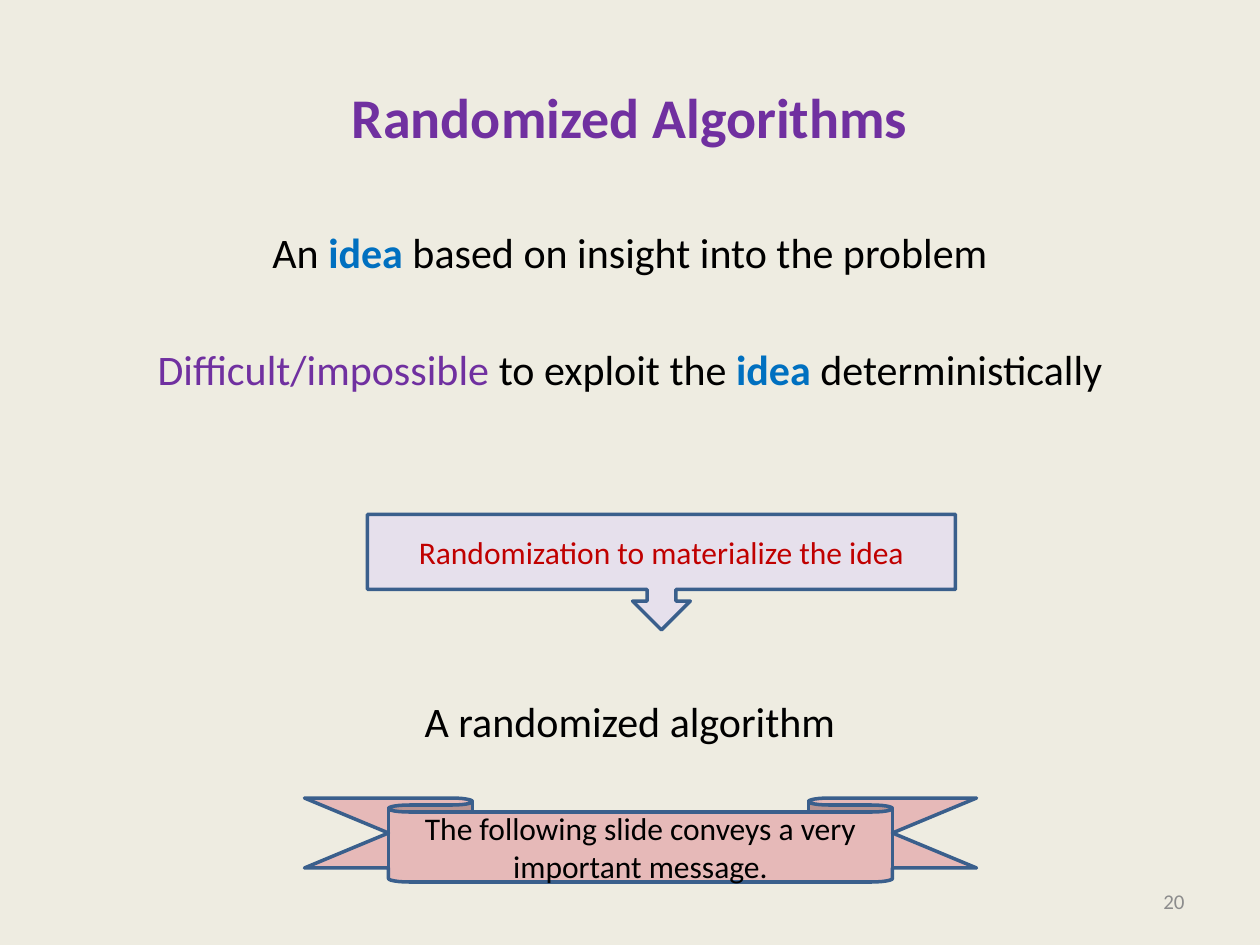
import pptx
import pptx.util
import pptx.dml.color
import pptx.enum.shapes
import pptx.enum.text

Pt = pptx.util.Pt
Shape = pptx.enum.shapes.MSO_SHAPE
Align = pptx.enum.text.PP_ALIGN
Middle = pptx.enum.text.MSO_ANCHOR.MIDDLE

theme = dict(
    font="Calibri", back="EEECE1", ink="000000", violet="7030A0", blue="0070C0",
    red="C00000", gray="8C8C8C", lilac="E6E0EC", rose="E6B9B8", edge="3A5F8C",
    head=32, body=24, label=18, small=12, line=2,
)

deck = pptx.Presentation()
deck.slide_width = pptx.util.Inches(10)
deck.slide_height = pptx.util.Inches(7.5)
cell = deck.slide_width / 120  # grid of 120 columns by 90 rows


def place(item, left, top, width, height):
    item.left, item.top = round(left * cell), round(top * cell)
    item.width, item.height = round(width * cell), round(height * cell)


def style(run, size, color, bold=False):
    run.font.name = theme["font"]
    run.font.size = Pt(theme[size])
    run.font.bold = bold
    run.font.color.rgb = pptx.dml.color.RGBColor.from_string(theme[color])


# Background and title
slide = deck.slides.add_slide(deck.slide_layouts[5])
slide.background.fill.solid()
slide.background.fill.fore_color.rgb = pptx.dml.color.RGBColor.from_string(theme["back"])
title = slide.shapes.title
place(title, 6, 3.6, 108, 15)
title.text_frame.text = "Randomized Algorithms"
title.text_frame.vertical_anchor = Middle
title.text_frame.paragraphs[0].alignment = Align.CENTER
style(title.text_frame.paragraphs[0].runs[0], "head", "violet", True)

# Body: space before, then runs of text, colour and weight
idea = ("idea", "blue", True)
lines = [
    (0, [("An ", "ink", False), idea, (" based on insight into the problem", "ink", False)]),
    (38, [("Difficult/impossible", "violet", False), (" to exploit the ", "ink", False),
          idea, (" deterministically", "ink", False)]),
    (172.5, [("A randomized algorithm", "ink", False)]),
]
body = slide.shapes.add_textbox(0, 0, 0, 0)
place(body, 6, 21, 108, 59.4)
frame = body.text_frame
frame.word_wrap = True
for row, (gap, parts) in enumerate(lines):
    para = frame.add_paragraph() if row else frame.paragraphs[0]
    para.alignment = Align.CENTER
    para.space_before = Pt(gap)
    for text, color, bold in parts:
        run = para.add_run()
        run.text = text
        style(run, "body", color, bold)

# Slide number
number = slide.shapes.add_textbox(0, 0, 0, 0)
place(number, 86, 83.4, 28, 4.8)
number.text_frame.word_wrap = True
number.text_frame.text = "20"
number.text_frame.vertical_anchor = Middle
number.text_frame.paragraphs[0].alignment = Align.RIGHT
style(number.text_frame.paragraphs[0].runs[0], "small", "gray")

# Callout and ribbon
banners = [
    (Shape.DOWN_ARROW_CALLOUT, (35, 49, 56, 11), "lilac", "red", (),
     "Randomization to materialize the idea"),
    (Shape.DOWN_RIBBON, (29, 76, 64, 8), "rose", "ink", (0.167, 0.75),
     "The following slide conveys a very important message."),
]
for kind, box, fill, color, bends, text in banners:
    shape = slide.shapes.add_shape(kind, 0, 0, 0, 0)
    place(shape, *box)
    for spot, bend in enumerate(bends):
        shape.adjustments[spot] = bend
    shape.shadow.inherit = False
    shape.fill.solid()
    shape.fill.fore_color.rgb = pptx.dml.color.RGBColor.from_string(theme[fill])
    shape.line.color.rgb = pptx.dml.color.RGBColor.from_string(theme["edge"])
    shape.line.width = Pt(theme["line"])
    shape.text_frame.text = text
    shape.text_frame.word_wrap = True
    shape.text_frame.vertical_anchor = Middle
    shape.text_frame.paragraphs[0].alignment = Align.CENTER
    style(shape.text_frame.paragraphs[0].runs[0], "label", color)

deck.save("out.pptx")
